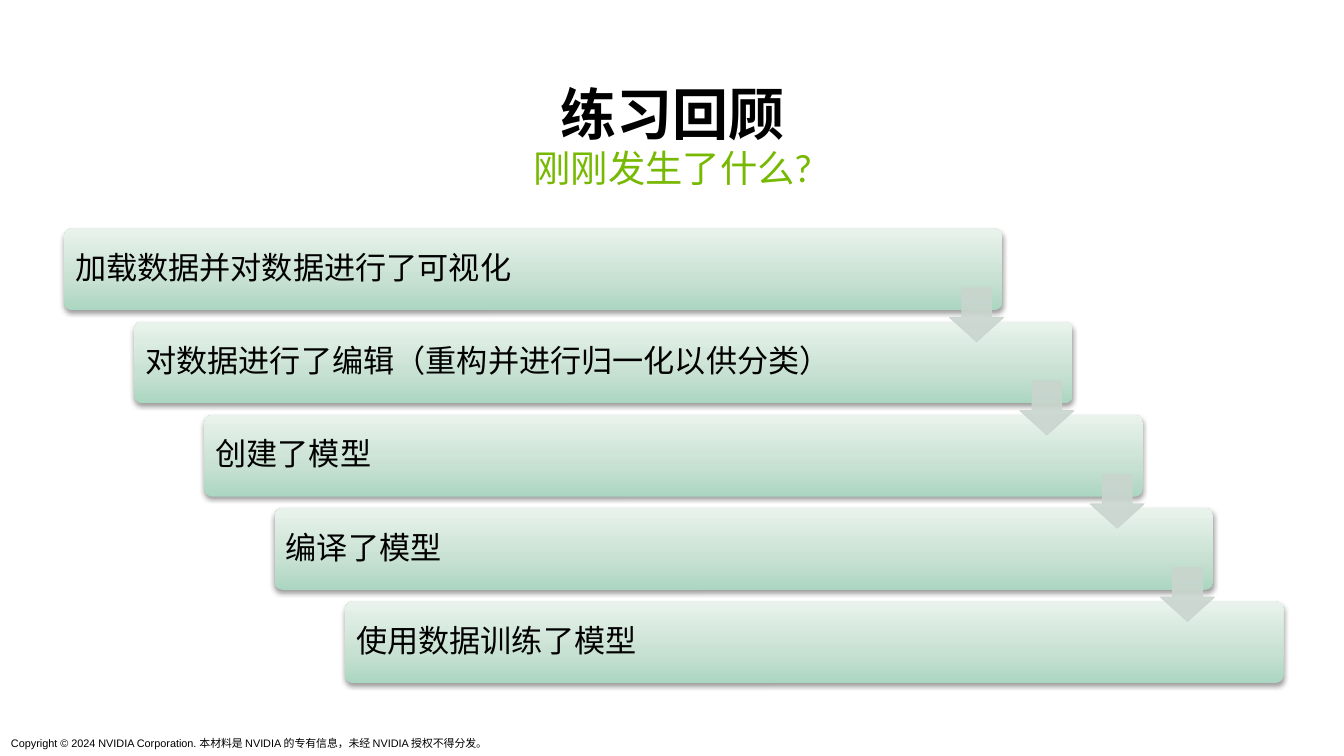
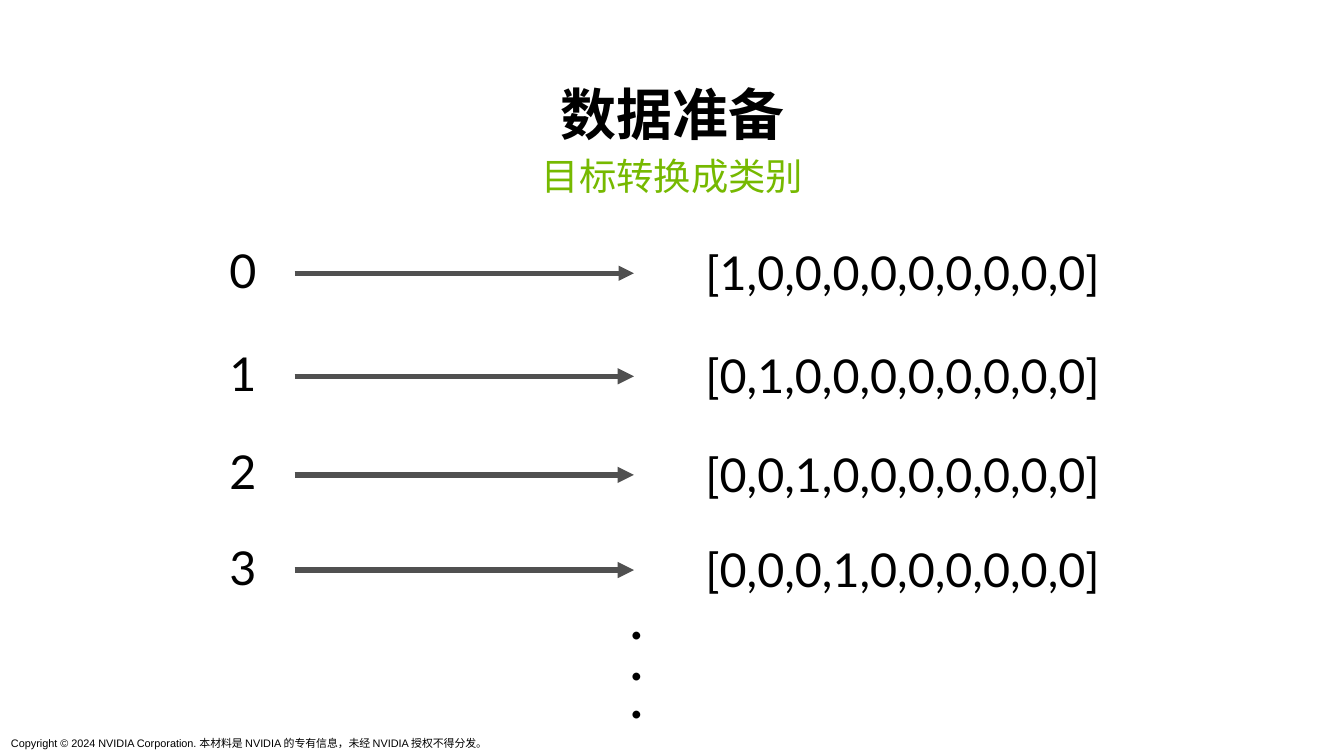
from lxml import etree
from pptx import Presentation
from pptx.dml.color import RGBColor
from pptx.enum.shapes import MSO_CONNECTOR, MSO_SHAPE
from pptx.enum.text import MSO_ANCHOR, MSO_AUTO_SIZE, PP_ALIGN
from pptx.oxml import parse_xml
from pptx.oxml.ns import nsdecls, qn
from pptx.util import Inches, Pt

LEFT, CENTER = PP_ALIGN.LEFT, PP_ALIGN.CENTER
TOP, MIDDLE, BOTTOM = MSO_ANCHOR.TOP, MSO_ANCHOR.MIDDLE, MSO_ANCHOR.BOTTOM
FIXED, GROW = MSO_AUTO_SIZE.NONE, MSO_AUTO_SIZE.SHAPE_TO_FIT_TEXT
ROUND_RECT, DOWN_ARROW = MSO_SHAPE.ROUNDED_RECTANGLE, MSO_SHAPE.DOWN_ARROW
STRAIGHT = MSO_CONNECTOR.STRAIGHT

COLORS = {
    "background": "FFFFFF", "text": "000000", "subtitle": "76B900",
    "bar_low": "ABD6C1", "bar_mid": "C6E0D1", "bar_high": "E9F3EC",
    "step_arrow": "C9D5CE", "mapping_arrow": "505050", "shadow": "000000",
}
FONT, FOOTER_FONT = "Lato", "Arial"

COPYRIGHT = "Copyright © 2024 NVIDIA Corporation. 本材料是 NVIDIA 的专有信息，未经 NVIDIA 授权不得分发。"
REVIEW = {
    "title": "练习回顾",
    "subtitle": "刚刚发生了什么?",
    "subtitle_top": 1.29,
    "steps": [
        "加载数据并对数据进行了可视化",
        "对数据进行了编辑（重构并进行归一化以供分类）",
        "创建了模型",
        "编译了模型",
        "使用数据训练了模型",
    ],
}
PREPARATION = {
    "title": "数据准备",
    "subtitle": "目标转换成类别",
    "subtitle_top": 1.36,
    "class_count": 10,
    "row_tops": [2.16, 3.08, 3.96, 4.81],
    "arrow_widths": [3.25, 3.5, 3.5, 3.5],
    "dot_tops": [5.1, 5.47, 5.81],
}

BAR_LEFT, BAR_TOP, BAR_WIDTH, BAR_HEIGHT = 0.57, 2.04, 8.38, 0.73
STAIR_WIDTH, STAIR_HEIGHT = 2.51, 3.33
STEP_ARROW_LEFT, STEP_ARROW_TOP, STEP_ARROW_SIZE = 8.48, 2.57, 0.48
LABEL_INSET = 0.02


def color(name):
    return RGBColor.from_string(COLORS[name])


def write(shape, text, size, align=CENTER, anchor=MIDDLE, insets=(0.1, 0.05),
          ink="text", font=FONT, bold=False, spacing=0.9, sizing=FIXED):
    frame = shape.text_frame
    frame.word_wrap = True
    frame.auto_size = sizing
    frame.vertical_anchor = anchor
    frame.margin_left = frame.margin_right = Inches(insets[0])
    frame.margin_top = frame.margin_bottom = Inches(insets[1])
    paragraph = frame.paragraphs[0]
    paragraph.alignment = align
    paragraph.line_spacing = spacing
    paragraph.space_before = Pt(0)
    run = paragraph.add_run()
    run.text = text
    run.font.name = font
    run.font.size = Pt(size)
    run.font.bold = bold
    run.font.color.rgb = color(ink)


def place(shape, left, top, width, height):
    shape.left, shape.top = Inches(left), Inches(top)
    shape.width, shape.height = Inches(width), Inches(height)


def add_text(slide, box, text, size, **style):
    write(slide.shapes.add_textbox(*map(Inches, box)), text, size, **style)


def start_slide(deck, content):
    slide = deck.slides.add_slide(deck.slide_layouts[1])
    slide.background.fill.solid()
    slide.background.fill.fore_color.rgb = color("background")
    add_text(slide, (0, 6.53, 4.53, 0.22), COPYRIGHT, 7, align=LEFT, anchor=TOP,
             font=FOOTER_FONT, spacing=1, sizing=GROW)

    title, subtitle = slide.shapes.title, slide.placeholders[1]
    place(title, 0.55, 0.72, 10.91, 0.65)
    write(title, content["title"], 36, anchor=BOTTOM, bold=True)

    place(subtitle, 0.55, content["subtitle_top"], 10.91, 0.57)
    properties = subtitle.text_frame.paragraphs[0]._p.get_or_add_pPr()
    properties.set("marL", "0")
    properties.set("indent", "0")
    etree.SubElement(properties, qn("a:buNone"))
    write(subtitle, content["subtitle"], 24, anchor=TOP, ink="subtitle")
    return slide


def add_bar(slide, left, top):
    bar = slide.shapes.add_shape(
        ROUND_RECT, *map(Inches, (left, top, BAR_WIDTH, BAR_HEIGHT)))
    bar.adjustments[0] = 0.1
    bar.line.fill.background()
    bar.shadow.inherit = False
    stops = "".join(
        f'<a:gs pos="{position * 1000}"><a:srgbClr val="{COLORS[name]}"/></a:gs>'
        for position, name in ((0, "bar_low"), (35, "bar_mid"), (100, "bar_high")))
    bar._element.spPr.find(qn("a:prstGeom")).addnext(parse_xml(
        f'<a:gradFill {nsdecls("a")} rotWithShape="1"><a:gsLst>{stops}</a:gsLst>'
        '<a:lin ang="16200000" scaled="0"/></a:gradFill>'))
    bar._element.spPr.find(qn("a:effectLst")).append(parse_xml(
        f'<a:outerShdw {nsdecls("a")} blurRad="{Pt(3.1)}" dist="{Pt(1.6)}" '
        f'dir="5400000" rotWithShape="0"><a:srgbClr val="{COLORS["shadow"]}">'
        '<a:alpha val="38000"/></a:srgbClr></a:outerShdw>'))


def add_step_arrow(slide, left, top):
    arrow = slide.shapes.add_shape(
        DOWN_ARROW, *map(Inches, (left, top, STEP_ARROW_SIZE, STEP_ARROW_SIZE)))
    arrow.adjustments[0], arrow.adjustments[1] = 0.55, 0.45
    arrow.shadow.inherit = False
    arrow.line.width = Pt(0.75)
    for paint in (arrow.fill, arrow.line.fill):
        paint.solid()
        paint.fore_color.rgb = color("step_arrow")
    for tint in arrow._element.spPr.iter(qn("a:srgbClr")):
        etree.SubElement(tint, qn("a:alpha"), val="90000")


def add_mapping_arrow(slide, y, width):
    arrow = slide.shapes.add_connector(STRAIGHT, *map(Inches, (2.63, y, 5.66, y)))
    arrow.line.color.rgb = color("mapping_arrow")
    arrow.line.width = Pt(width)
    etree.SubElement(arrow.line._get_or_add_ln(), qn("a:tailEnd"), type="triangle")
    etree.SubElement(arrow._element.spPr, qn("a:effectLst"))


def build_review(deck):
    slide = start_slide(deck, REVIEW)
    steps = REVIEW["steps"]
    gaps = len(steps) - 1
    offsets = [(STAIR_WIDTH * i / gaps, STAIR_HEIGHT * i / gaps)
               for i in range(len(steps))]
    for i, (step, (dx, dy)) in enumerate(zip(steps, offsets)):
        left, top = BAR_LEFT + dx, BAR_TOP + dy
        add_bar(slide, left, top)
        label = (left + LABEL_INSET, top + LABEL_INSET,
                 7.23 if i else 7.5, BAR_HEIGHT - 2 * LABEL_INSET)
        add_text(slide, label, step, 20, align=LEFT, insets=(0.08, 0.08))
    for dx, dy in offsets[:-1]:
        add_step_arrow(slide, STEP_ARROW_LEFT + dx, STEP_ARROW_TOP + dy)


def build_preparation(deck):
    slide = start_slide(deck, PREPARATION)
    rows = zip(PREPARATION["row_tops"], PREPARATION["arrow_widths"])
    for digit, (top, width) in enumerate(rows):
        one_hot = [str(int(i == digit)) for i in range(PREPARATION["class_count"])]
        add_text(slide, (1.72, top, 0.9, 0.56), str(digit), 30, sizing=GROW)
        add_text(slide, (5.24, top + 0.02, 5.64, 0.56),
                 f"[{','.join(one_hot)}]", 30, sizing=GROW)
        add_mapping_arrow(slide, top + 0.28, width)
    for top in PREPARATION["dot_tops"]:
        add_text(slide, (5.24, top, 0.9, 0.77), ".", 40, spacing=1, sizing=GROW)


def main():
    deck = Presentation()
    deck.slide_width, deck.slide_height = Inches(12), Inches(6.75)
    build_review(deck)
    build_preparation(deck)
    deck.save("out.pptx")


if __name__ == "__main__":
    main()
